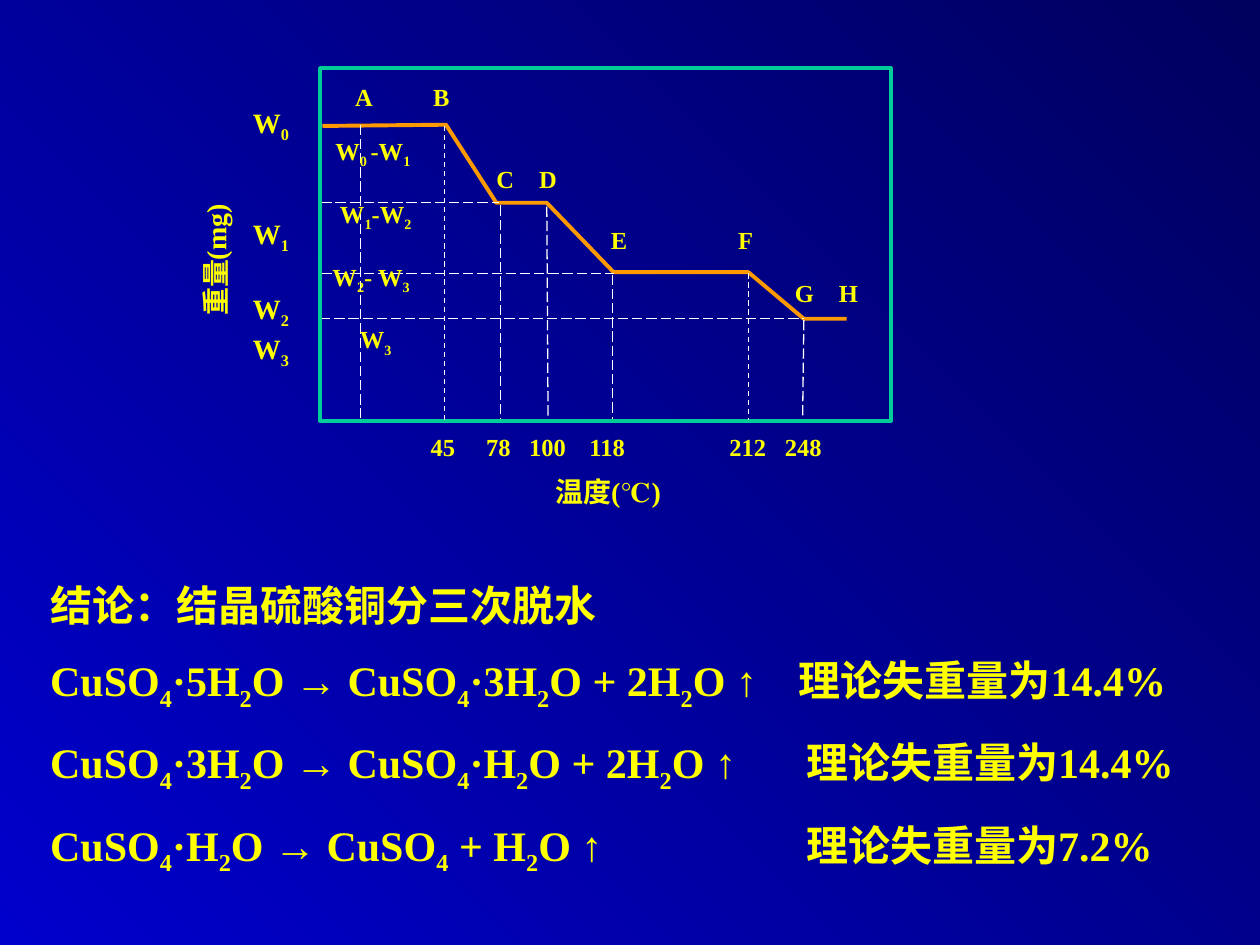
from pptx import Presentation
from pptx.dml.color import RGBColor
from pptx.enum.dml import MSO_LINE
from pptx.enum.shapes import MSO_CONNECTOR, MSO_SHAPE
from pptx.enum.text import MSO_AUTO_SIZE, PP_ALIGN
from pptx.oxml.ns import qn
from pptx.util import Inches, Pt
from lxml.etree import SubElement

FONT = "Times New Roman"
YELLOW, WHITE, ORANGE, GREEN = "FFFF00", "FFFFFF", "FF9900", "00CC99"

CURVE = [(2.56, 1), (3.54, 0.99), (3.94, 1.61), (4.34, 1.61),
         (4.87, 2.16), (5.94, 2.16), (6.38, 2.53), (6.72, 2.53)]
LONG_GUIDES = [
    (2.86, 0.99, 2.86, 3.32), (3.97, 1.63, 3.97, 3.33),
    (4.34, 1.64, 4.35, 3.32), (4.86, 2.18, 4.86, 3.33),
    (6.38, 2.54, 6.37, 3.34), (2.54, 2.53, 6.38, 2.53),
    (2.55, 2.17, 4.87, 2.17), (2.55, 1.61, 3.96, 1.61),
]
SHORT_GUIDES = [(5.94, 2.17, 5.94, 3.33), (3.53, 1, 3.53, 3.33)]
TABBED_LABELS = [
    (3.32, 3.38, 3.32, "45\t78\t100\t118\t212\t248", [0.44, 0.78, 1.26, 2.37, 2.81]),
    (2.72, 0.6, 0.96, "A\tB", [0.62]),
    (3.84, 1.25, 0.75, "C\tD", [0.34]),
    (4.75, 1.74, 1.4, "E\tF", [1.01]),
    (6.21, 2.16, 0.75, "G\tH", [0.35]),
]
LOSSES = ["W~0 ~-W~1~", " W~1~-W~2~", "W~2~- W~3 ~", " W~3~"]
WEIGHTS = [("W~0~", 0), ("W~1~", 41.5), ("W~2~", 21), ("W~3~", 1)]
REACTIONS = [
    ("CuSO~4~·5H~2~O → CuSO~4~·3H~2~O + 2H~2~O ↑\t理论失重量为14.4%", 5.94),
    ("CuSO~4~·3H~2~O → CuSO~4~·H~2~O + 2H~2~O ↑\t理论失重量为14.4%", 6),
    ("CuSO~4~·H~2~O → CuSO~4~ + H~2~O ↑\t理论失重量为7.2%", 6),
]


def color(value):
    return RGBColor.from_string(value)


def paint_background(page):
    fill = page.background.fill
    fill.gradient()
    fill.gradient_angle = 45
    for stop, value in zip(fill.gradient_stops, ("0000CC", "00005E")):
        stop.color.rgb = color(value)


def add_box(page, left, top, width, height, wrap=False):
    box = page.shapes.add_textbox(Inches(left), Inches(top), Inches(width), Inches(height))
    box.text_frame.word_wrap = wrap
    box.text_frame.auto_size = MSO_AUTO_SIZE.SHAPE_TO_FIT_TEXT
    return box


def add_para(box, text, size, before=0, tabs=(), align=PP_ALIGN.LEFT, spacing=None):
    frame = box.text_frame
    para = frame.paragraphs[0] if not frame.text else frame.add_paragraph()
    para.alignment = align
    if spacing:
        para.line_spacing = spacing
    if before:
        para.space_before = Pt(before)
    if tabs:
        stops = SubElement(para._p.get_or_add_pPr(), qn("a:tabLst"))
        for position in tabs:
            SubElement(stops, qn("a:tab"), pos=str(Inches(position)), algn="l")
    for index, piece in enumerate(text.split("~")):
        if not piece:
            continue
        span = para.add_run()
        span.text = piece
        span.font.name = FONT
        span.font.size = Pt(size)
        span.font.bold = True
        span.font.color.rgb = color(YELLOW)
        if index % 2:
            span._r.get_or_add_rPr().set("baseline", "-25000")


def add_guide(page, ends, dash):
    guide = page.shapes.add_connector(MSO_CONNECTOR.STRAIGHT, *map(Inches, ends))
    guide.line.color.rgb = color(WHITE)
    guide.line.width = Pt(0.75)
    guide.line.dash_style = dash
    SubElement(guide._element.spPr, qn("a:effectLst"))


def style_outline(shape, value):
    shape.shadow.inherit = False
    shape.fill.background()
    shape.line.color.rgb = color(value)
    shape.line.width = Pt(2.25)


def add_curve(page):
    points = [(Inches(x), Inches(y)) for x, y in CURVE]
    builder = page.shapes.build_freeform(*points[0])
    builder.add_line_segments(points[1:], close=False)
    style_outline(builder.convert_to_shape(), ORANGE)


def add_conclusion(page):
    box = add_box(page, 0.3, 4.45, 9.53, 2.56, wrap=True)
    add_para(box, "结论：结晶硫酸铜分三次脱水", 24, spacing=1.25)
    for reaction, stop in REACTIONS:
        add_para(box, reaction, 24, before=6, tabs=[stop], spacing=1.25)


def add_labels(page):
    for left, top, width, text, tabs in TABBED_LABELS:
        add_para(add_box(page, left, top, width, 0.34, wrap=True), text, 14, tabs=tabs)
    add_para(add_box(page, 4.31, 3.72, 1.06, 0.37), "温度(℃)", 16)
    weight_title = add_box(page, 1.14, 1.85, 1.14, 0.37)
    weight_title.rotation = 270
    add_para(weight_title, "重量(mg)", 16)
    loss_box = add_box(page, 2.53, 1.03, 0.86, 1.9)
    for index, loss in enumerate(LOSSES):
        add_para(loss_box, loss, 14, before=16.8 if index else 0, align=PP_ALIGN.CENTER)
    weight_box = add_box(page, 1.91, 0.79, 0.54, 2.27)
    for weight, before in WEIGHTS:
        add_para(weight_box, weight, 16, before=before)


def main():
    deck = Presentation()
    deck.slide_width, deck.slide_height = Inches(10), Inches(7.5)
    page = deck.slides.add_slide(deck.slide_layouts[6])
    paint_background(page)
    add_conclusion(page)
    add_curve(page)
    for ends in LONG_GUIDES:
        add_guide(page, ends, MSO_LINE.LONG_DASH)
    add_labels(page)
    frame = page.shapes.add_shape(MSO_SHAPE.RECTANGLE, Inches(2.54), Inches(0.54),
                                  Inches(4.53), Inches(2.8))
    style_outline(frame, GREEN)
    for ends in SHORT_GUIDES:
        add_guide(page, ends, MSO_LINE.DASH)
    deck.save("out.pptx")


if __name__ == "__main__":
    main()
